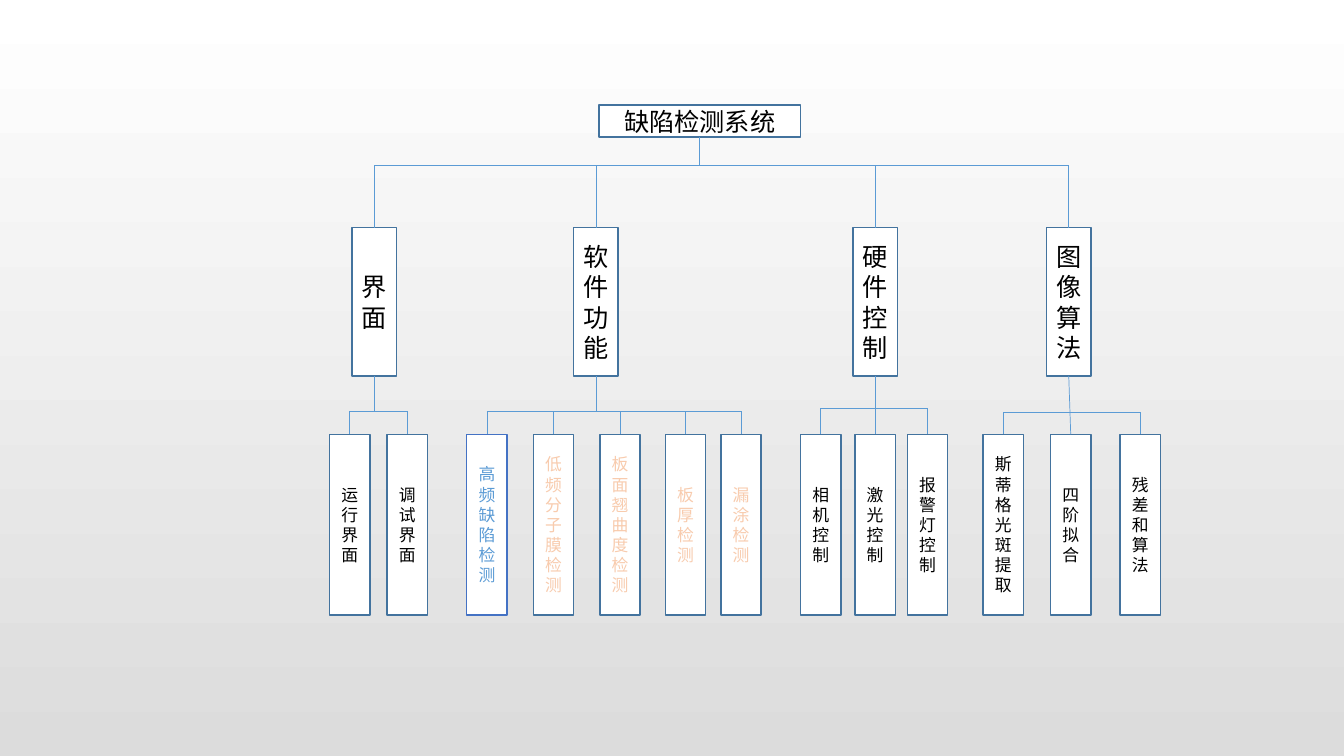
from lxml.etree import SubElement
from pptx import Presentation
from pptx.dml.color import RGBColor
from pptx.enum.shapes import MSO_CONNECTOR, MSO_SHAPE
from pptx.enum.text import MSO_ANCHOR, PP_ALIGN
from pptx.oxml import parse_xml
from pptx.oxml.ns import qn
from pptx.util import Inches, Pt

WHITE = RGBColor(0xFF, 0xFF, 0xFF)
GREY = RGBColor(0xDC, 0xDC, 0xDC)
BLACK = RGBColor(0, 0, 0)
EDGE = RGBColor(0x43, 0x73, 0x9E)
BLUE = RGBColor(0x44, 0x72, 0xC4)
SKY = RGBColor(0x5B, 0x9B, 0xD5)
PEACH = RGBColor(0xF8, 0xCB, 0xAD)
ORANGE = RGBColor(0xED, 0x7D, 0x31)

ROOT_BUS = 1.64
TOP, WIDE, HIGH = 2.26, 0.44, 1.47
LEAF_TOP, LEAF_WIDE, LEAF_HIGH = 4.31, 0.4, 1.79

GROUPS = [
    ("界面", 3.49, 4.08, [
        ("运行界面", 3.27, BLACK), ("调试界面", 3.84, BLACK)]),
    ("软件功能", 5.69, 4.08, [
        ("高频缺陷检测", 4.63, SKY), ("低频分子膜检测", 5.29, PEACH),
        ("板面翘曲度检测", 5.95, PEACH), ("板厚检测", 6.6, PEACH),
        ("漏涂检测", 7.15, PEACH)]),
    ("硬件控制", 8.46, 4.05, [
        ("相机控制", 7.94, BLACK), ("激光控制", 8.48, BLACK),
        ("报警灯控制", 9, BLACK)]),
    ("图像算法", 10.38, 4.09, [
        ("斯蒂格光斑提取", 9.75, BLACK), ("四阶拟合", 10.42, BLACK),
        ("残差和算法", 11.11, BLACK)]),
]

prs = Presentation()
prs.slide_width = Inches(13.33)
prs.slide_height = Inches(7.5)
slide = prs.slides.add_slide(prs.slide_layouts[6])
back = slide.background.fill
back.gradient()
back.gradient_angle = 270
for stop, tone, place in zip(back.gradient_stops, (WHITE, GREY), (0, 1)):
    stop.color.rgb = tone
    stop.position = place


def add_box(text, left, top, width, height, size, color=BLACK):
    box = slide.shapes.add_shape(
        MSO_SHAPE.RECTANGLE, Inches(left), Inches(top), Inches(width), Inches(height))
    box.shadow.inherit = False
    box.fill.solid()
    box.fill.fore_color.rgb = WHITE
    box.line.color.rgb = BLUE if color == SKY else EDGE
    box.line.width = Pt(1)
    frame = box.text_frame
    frame.word_wrap = True
    frame.vertical_anchor = MSO_ANCHOR.MIDDLE
    frame.text = text
    para = frame.paragraphs[0]
    para.alignment = PP_ALIGN.CENTER
    font = para.runs[0].font
    font.name = "Arial"
    font.size = Pt(size)
    font.color.rgb = color
    if color == PEACH:
        rim = parse_xml(
            '<a:ln xmlns:a="http://schemas.openxmlformats.org/drawingml/2006/main"'
            f' w="{Pt(1.75)}"><a:solidFill><a:srgbClr val="{ORANGE}"/></a:solidFill></a:ln>')
        para.runs[0].font._element.insert(0, rim)
    return box


def add_line(x1, y1, x2, y2, start=None, end=None):
    line = slide.shapes.add_connector(
        MSO_CONNECTOR.STRAIGHT, Inches(x1), Inches(y1), Inches(x2), Inches(y2))
    line.line.color.rgb = SKY
    line.line.width = Pt(0.5)
    SubElement(line._element.spPr, qn("a:effectLst"))
    if start is not None:
        line.begin_connect(start, 2)
    if end is not None:
        line.end_connect(end, 0)


root = add_box("缺陷检测系统", 5.94, 1.04, 2, 0.32, 18)
add_line(6.94, 1.36, 6.94, ROOT_BUS, start=root)
mids = [left + WIDE / 2 for _, left, _, _ in GROUPS]
add_line(mids[0], ROOT_BUS, mids[-1], ROOT_BUS)

for (name, left, bus, leaves), mid in zip(GROUPS, mids):
    head = add_box(name, left, TOP, WIDE, HIGH, 18)
    add_line(mid, ROOT_BUS, mid, TOP, end=head)
    spots = [spot + LEAF_WIDE / 2 for _, spot, _ in leaves]
    add_line(spots[0], bus, spots[-1], bus)
    direct = False
    for (label, spot, color), x in zip(leaves, spots):
        leaf = add_box(label, spot, LEAF_TOP, LEAF_WIDE, LEAF_HIGH, 12, color)
        if abs(x - mid) < 0.05:
            add_line(mid, TOP + HIGH, x, LEAF_TOP, start=head, end=leaf)
            direct = True
        else:
            add_line(x, bus, x, LEAF_TOP, end=leaf)
    if not direct:
        add_line(mid, TOP + HIGH, mid, bus, start=head)

prs.save("out.pptx")
